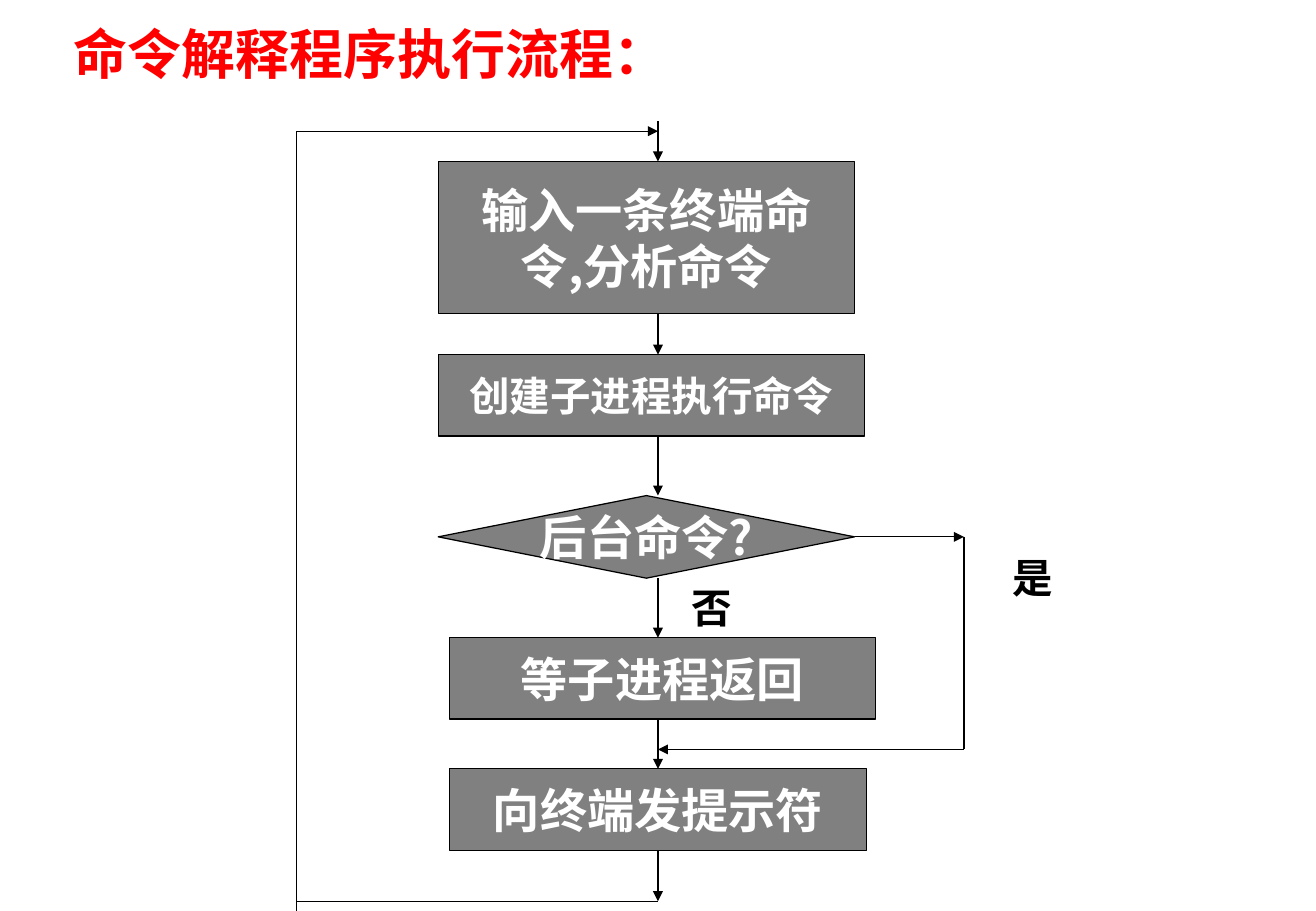
from dataclasses import dataclass

from lxml import etree
from pptx import Presentation
from pptx import util as u
from pptx.dml import color
from pptx.enum import shapes, text
from pptx.oxml import ns

CJK_FONT = "Noto Sans CJK SC"
FLOW_X = 5.42
LOOP_X = 2.44
BYPASS_X = 7.94
LOOP_TOP = 1.08
LOOP_BOTTOM = 7.42
DECISION_Y = 4.42
MERGE_Y = 6.17
TOP, BOTTOM, RIGHT = 0, 2, 3


@dataclass
class Step:
    words: str
    left: float
    top: float
    width: float
    height: float = 0.67
    size: int = 28
    kind: shapes.MSO_SHAPE = shapes.MSO_SHAPE.RECTANGLE


@dataclass
class Label:
    words: str
    left: float
    top: float
    width: float
    height: float = 0.5
    size: int = 24
    font: str = CJK_FONT
    ink: str = "000000"


@dataclass
class Link:
    x1: float
    y1: float
    x2: float
    y2: float
    arrow: bool = True


def rgb(value: str) -> color.RGBColor:
    return color.RGBColor.from_string(value)


def write(frame, words: str, size: int, font: str, ink: str, align) -> None:
    frame.text = words
    frame.word_wrap = False
    for paragraph in frame.paragraphs:
        paragraph.alignment = align
        for run in paragraph.runs:
            run.font.name = font
            run.font.size = u.Pt(size)
            run.font.bold = True
            run.font.color.rgb = rgb(ink)


def draw_step(slide, step: Step):
    box = slide.shapes.add_shape(
        step.kind, u.Inches(step.left), u.Inches(step.top),
        u.Inches(step.width), u.Inches(step.height))
    box.shadow.inherit = False
    box.fill.solid()
    box.fill.fore_color.rgb = rgb("808080")
    box.line.color.rgb = rgb("000000")
    box.line.width = u.Pt(0.75)
    frame = box.text_frame
    frame.vertical_anchor = text.MSO_ANCHOR.MIDDLE
    frame.margin_left = frame.margin_right = u.Inches(0.1)
    frame.margin_top = frame.margin_bottom = u.Inches(0.05)
    write(frame, step.words, step.size, CJK_FONT, "FFFFFF", text.PP_ALIGN.CENTER)
    return box


def draw_label(slide, label: Label) -> None:
    box = slide.shapes.add_textbox(
        u.Inches(label.left), u.Inches(label.top),
        u.Inches(label.width), u.Inches(label.height))
    write(box.text_frame, label.words, label.size, label.font, label.ink,
          text.PP_ALIGN.LEFT)
    box.text_frame.auto_size = text.MSO_AUTO_SIZE.SHAPE_TO_FIT_TEXT


def draw_link(slide, link: Link):
    line = slide.shapes.add_connector(
        shapes.MSO_CONNECTOR.STRAIGHT, u.Inches(link.x1), u.Inches(link.y1),
        u.Inches(link.x2), u.Inches(link.y2))
    line.line.color.rgb = rgb("000000")
    line.line.width = u.Pt(0.75)
    if link.arrow:
        tail = etree.SubElement(line.line._get_or_add_ln(), ns.qn("a:tailEnd"))
        tail.set("type", "triangle")
    etree.SubElement(line._element.spPr, ns.qn("a:effectLst"))
    return line


def main() -> None:
    deck = Presentation()
    deck.slide_width = u.Inches(10.84)
    deck.slide_height = u.Inches(7.5)
    slide = deck.slides.add_slide(deck.slide_layouts[6])

    steps = [
        Step("输入一条终端命\n令,分析命令", 3.61, 1.33, 3.43, 1.25),
        Step("创建子进程执行命令", 3.61, 2.92, 3.51, size=24),
        Step("后台命令?", 3.61, 4.08, 3.43, 0.68,
             kind=shapes.MSO_SHAPE.FLOWCHART_DECISION),
        Step("等子进程返回", 3.7, 5.25, 3.51),
        Step("向终端发提示符", 3.7, 6.33, 3.44),
    ]
    boxes = [draw_step(slide, step) for step in steps]
    decision, prompt = boxes[2], boxes[-1]

    starts = [1] + [step.top + step.height for step in steps]
    ends = [step.top for step in steps] + [LOOP_BOTTOM]
    flow = [draw_link(slide, Link(FLOW_X, start, FLOW_X, end))
            for start, end in zip(starts, ends)]
    flow[-2].end_connect(prompt, TOP)
    flow[-1].begin_connect(prompt, BOTTOM)

    bypass = draw_link(slide, Link(7.04, DECISION_Y, BYPASS_X, DECISION_Y))
    bypass.begin_connect(decision, RIGHT)

    for link in (
        Link(FLOW_X, LOOP_BOTTOM, LOOP_X, LOOP_BOTTOM, arrow=False),
        Link(LOOP_X, 7.5, LOOP_X, LOOP_TOP, arrow=False),
        Link(LOOP_X, LOOP_TOP, FLOW_X, LOOP_TOP),
        Link(BYPASS_X, DECISION_Y, BYPASS_X, MERGE_Y, arrow=False),
        Link(BYPASS_X, MERGE_Y, FLOW_X, MERGE_Y),
    ):
        draw_link(slide, link)

    for label in (
        Label("否", 5.6, 4.75, 0.53),
        Label("命令解释程序执行流程：", 0.51, 0.12, 5.09, 0.64, 32,
              "Times New Roman", "FF0000"),
        Label("是", 8.24, 4.5, 0.53),
    ):
        draw_label(slide, label)

    deck.save("out.pptx")


if __name__ == "__main__":
    main()
